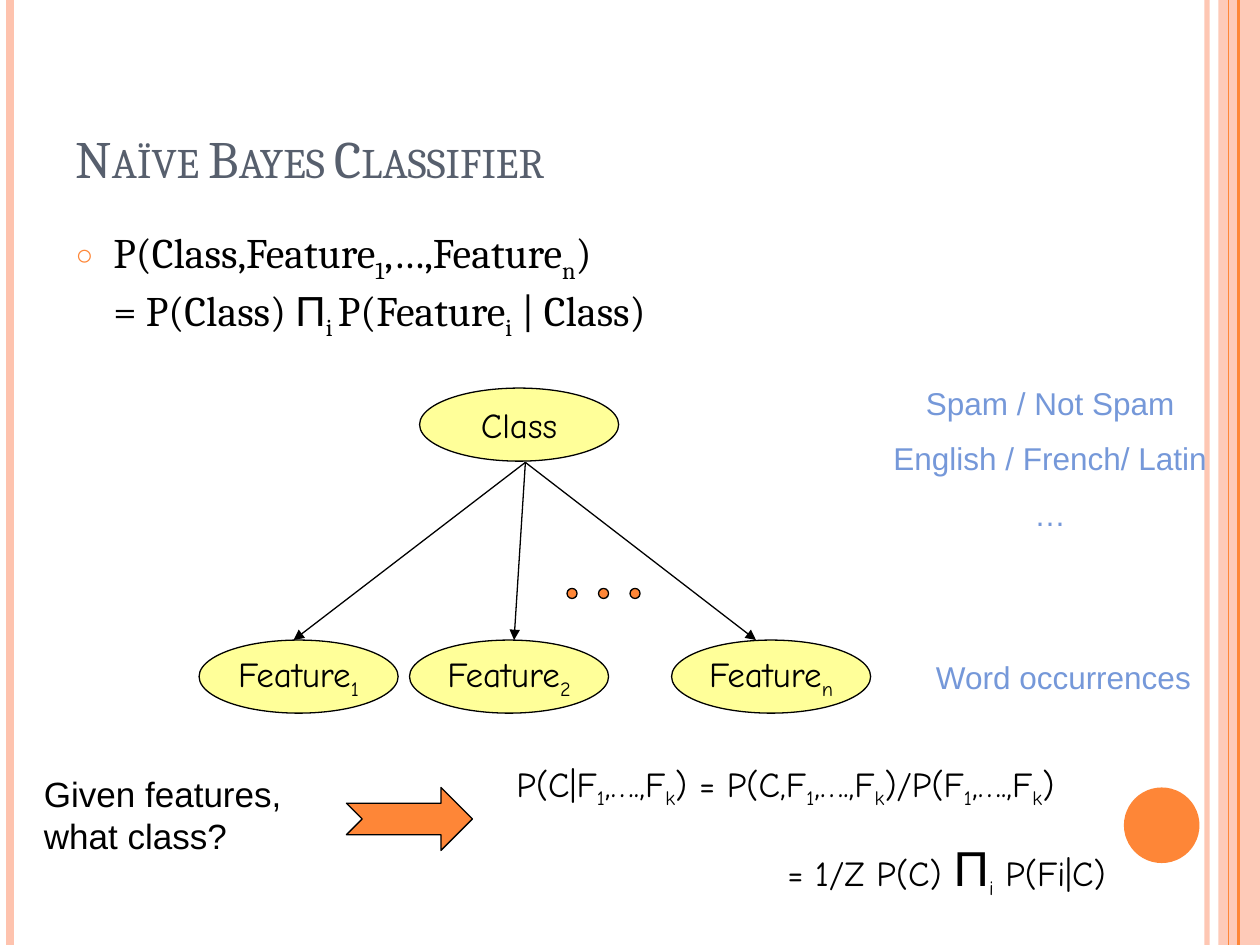
from dataclasses import dataclass
from typing import Optional

from lxml import etree
from pptx import Presentation
from pptx import util as u
from pptx.dml import color as col
from pptx.enum import shapes, text
from pptx.oxml import ns

ORANGE, PINK, BLACK, BLUE = "FE8637", "FEC3AE", "000000", "7598D9"
COMIC, SERIF, SANS = "Comic Neue", "Cambria", "Arial"
OVAL = shapes.MSO_SHAPE.OVAL
LEFT, MID = text.PP_ALIGN.LEFT, text.PP_ALIGN.CENTER


@dataclass
class Rule:
    x: float
    hue: str
    width: float
    alpha: int = 100


@dataclass
class Node:
    x: float
    y: float
    label: str


@dataclass
class Style:
    face: str
    size: float
    hue: str = BLACK
    align: text.PP_ALIGN = LEFT


@dataclass
class Note:
    x: float
    y: float
    w: float
    h: float
    lines: list[str]
    style: Style
    gap: float = 10


def rgb(code: str) -> col.RGBColor:
    return col.RGBColor.from_string(code)


def add(host, tag: str, **attrs: str):
    node = etree.SubElement(host, ns.qn(tag))
    for key, val in attrs.items():
        node.set(key, val)
    return node


def box(x: float, y: float, w: float, h: float) -> list:
    return [u.Inches(v) for v in (x, y, w, h)]


def fade(shape, alpha: int) -> None:
    if alpha < 100:
        for tint in shape._element.spPr.iter(ns.qn("a:srgbClr")):
            add(tint, "a:alpha", val=str(alpha * 1000))


def draw(slide, kind, area: list, fill: str, edge: Optional[str] = BLACK, alpha: int = 100):
    shape = slide.shapes.add_shape(kind, *area)
    shape.shadow.inherit = False
    shape.fill.solid()
    shape.fill.fore_color.rgb = rgb(fill)
    if edge:
        shape.line.color.rgb = rgb(edge)
        shape.line.width = u.Pt(0.75)
    else:
        shape.line.fill.background()
    fade(shape, alpha)
    return shape


def link(slide, start: tuple, end: tuple, hue: str, width: float, alpha: int = 100, head: bool = False) -> None:
    ends = [u.Inches(v) for v in start + end]
    line = slide.shapes.add_connector(shapes.MSO_CONNECTOR.STRAIGHT, *ends)
    line.line.color.rgb = rgb(hue)
    line.line.width = u.Pt(width)
    fade(line, alpha)
    if head:
        add(line.line._get_or_add_ln(), "a:tailEnd", type="triangle")
    add(line._element.spPr, "a:effectLst")


def write(para, words: str, style: Style, big: float = 0) -> None:
    """Parts are split by ~; a leading _ marks a subscript."""
    para.alignment = style.align
    for row, line in enumerate(words.split("\n")):
        if row:
            para.add_line_break()
        for part in line.split("~"):
            run = para.add_run()
            run.text = part.removeprefix("_")
            sign = part == "Π"
            run.font.name = SANS if sign else style.face
            run.font.size = u.Pt(big if sign and big else style.size)
            run.font.color.rgb = rgb(style.hue)
            if part.startswith("_"):
                run.font._element.set("baseline", "-25000")


def oval(slide, node: Node) -> None:
    shape = draw(slide, OVAL, box(node.x, node.y, 1.58, 0.58), "FFFF99")
    frame = shape.text_frame
    frame.word_wrap = False
    frame.vertical_anchor = text.MSO_ANCHOR.MIDDLE
    write(frame.paragraphs[0], node.label, Style(COMIC, 20, align=MID))


def jot(slide, note: Note):
    frame = slide.shapes.add_textbox(*box(note.x, note.y, note.w, note.h)).text_frame
    frame.word_wrap = True
    for i, line in enumerate(note.lines):
        para = frame.add_paragraph() if i else frame.paragraphs[0]
        if i:
            para.space_before = u.Pt(note.gap)
        write(para, line, note.style, 28)
    return frame


def place(shape, area: list):
    shape.left, shape.top, shape.width, shape.height = area
    frame = shape.text_frame
    frame.word_wrap = True
    frame.auto_size = text.MSO_AUTO_SIZE.NONE
    return frame


def head(slide) -> None:
    frame = place(slide.shapes.title, box(0.5, 0.3, 8.17, 1.25))
    frame.vertical_anchor = text.MSO_ANCHOR.BOTTOM
    para = frame.paragraphs[0]
    write(para, "Naïve Bayes Classifier", Style(SERIF, 30, "575F6D"))
    para.runs[0].font._element.set("cap", "small")


def body(slide) -> None:
    frame = place(slide.placeholders[1], box(0.5, 1.75, 8.17, 5.33))
    para = frame.paragraphs[0]
    words = "P(Class,Feature~_1~,…,Feature~_n~)\n= P(Class) ~Π~_i ~P(Feature~_i~ | Class)"
    write(para, words, Style(SERIF, 24))
    para.space_before = u.Pt(6)
    props = para._p.get_or_add_pPr()
    props.set("marL", str(u.Inches(0.3)))
    props.set("indent", str(u.Inches(-0.3)))
    add(add(props, "a:buClr"), "a:srgbClr", val=ORANGE)
    add(props, "a:buSzPct", val="70000")
    add(props, "a:buChar", char="○")


def main() -> None:
    deck = Presentation()
    deck.slide_width, deck.slide_height = u.Inches(10), u.Inches(7.5)
    slide = deck.slides.add_slide(deck.slide_layouts[1])

    draw(slide, shapes.MSO_SHAPE.RECTANGLE, box(9.67, 0, 0.33, 7.5), PINK, None, 87)
    for rule in (Rule(9.58, PINK, 3, 93), Rule(0.08, PINK, 4.5),
                 Rule(9.83, ORANGE, 1.5), Rule(9.75, ORANGE, 0.75)):
        link(slide, (rule.x, 0), (rule.x, 7.5), rule.hue, rule.width, rule.alpha)
    draw(slide, OVAL, box(8.92, 6.25, 0.6, 0.6), ORANGE, None)
    head(slide)
    body(slide)

    for node in (Node(3.33, 3.08, "Class"), Node(1.58, 5.08, "Feature~_1"),
                 Node(3.25, 5.08, "Feature~_2"), Node(5.33, 5.08, "Feature~_n")):
        oval(slide, node)
    for x in (2.33, 4.08, 6):
        link(slide, (4.17, 3.67), (x, 5.08), BLACK, 0.75, head=True)
    for i in range(3):
        draw(slide, OVAL, box(4.5 + 0.25 * i, 4.67, 0.08, 0.08), ORANGE)
    draw(slide, shapes.MSO_SHAPE.NOTCHED_RIGHT_ARROW, box(2.75, 6.25, 1, 0.5), ORANGE)

    pair = "F~_1~,….,F~_k~)"
    proof = jot(slide, Note(4, 6, 5.75, 1.14, [
        f"P(C|{pair} = P(C,{pair}/P({pair}", "= 1/Z P(C) ~Π~_i~ P(Fi|C)"], Style(COMIC, 20), 16))
    proof.paragraphs[1]._p.get_or_add_pPr().set("marL", str(u.Inches(2.15)))
    for note in (
        Note(0.25, 6.08, 2.25, 0.77, ["Given features, what class?"], Style(SANS, 20)),
        Note(6.92, 3, 2.83, 1.3, ["Spam / Not Spam", "English / French/ Latin", "…"],
             Style(SANS, 18, BLUE, MID)),
        Note(7.33, 5.17, 2.6, 0.4, ["Word occurrences"], Style(SANS, 18, BLUE)),
    ):
        jot(slide, note)
    deck.save("out.pptx")


if __name__ == "__main__":
    main()
